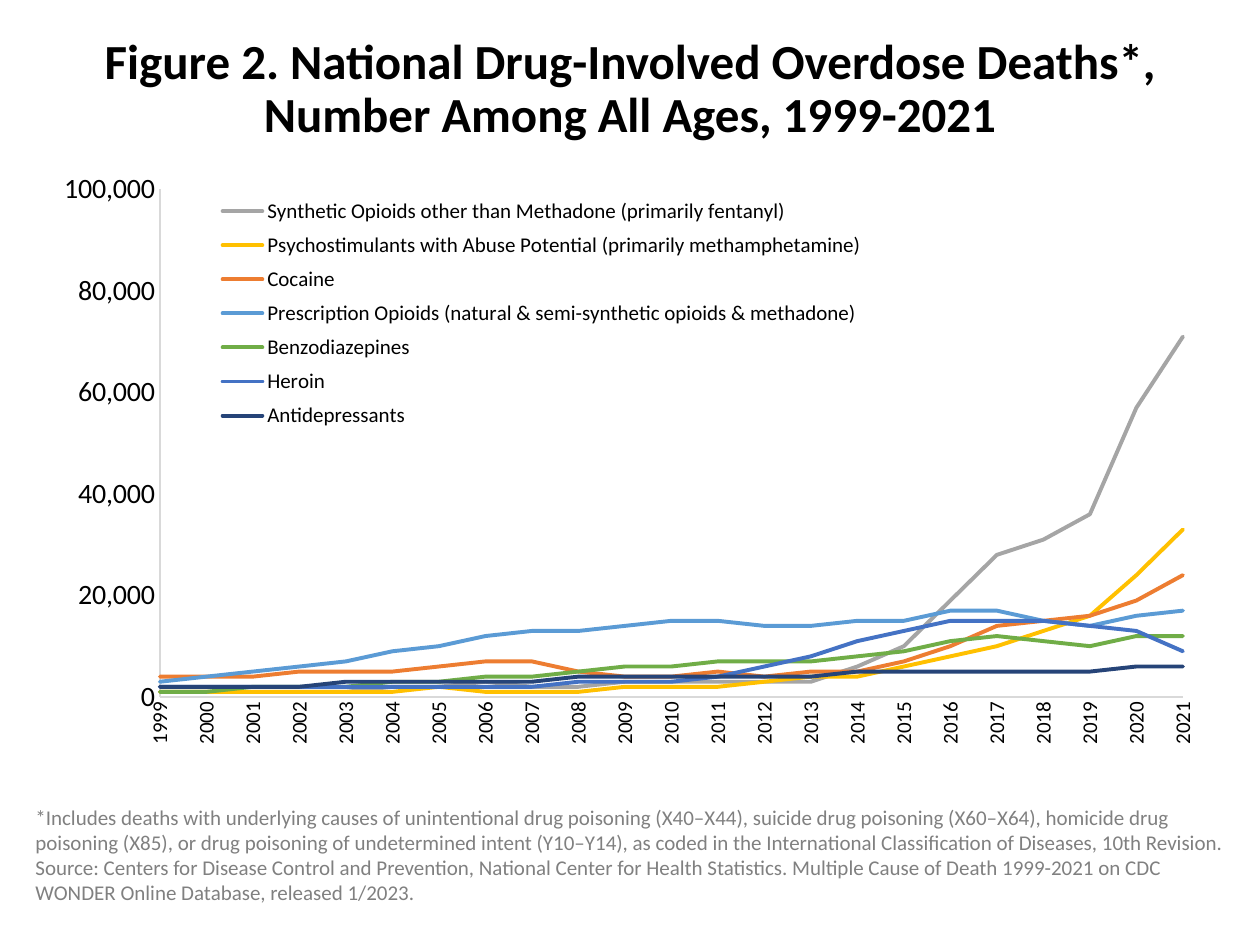
"""Build the slide on national drug-involved overdose deaths, 1999-2021."""
from dataclasses import dataclass

from lxml import etree
from pptx import Presentation
from pptx import util as u
from pptx.chart.data import CategoryChartData
from pptx.dml.color import RGBColor
from pptx.enum import chart as ch
from pptx.enum import text
from pptx.oxml.ns import qn

PX = 914400 / 126
FONT = "Calibri"
BLACK = RGBColor(0x00, 0x00, 0x00)
GREY = RGBColor(0x80, 0x80, 0x80)
AXIS = RGBColor(0xD9, 0xD9, 0xD9)
SILVER = RGBColor(0xA5, 0xA5, 0xA5)
GOLD = RGBColor(0xFF, 0xC0, 0x00)
ORANGE = RGBColor(0xED, 0x7D, 0x31)
SKY = RGBColor(0x5B, 0x9B, 0xD5)
GREEN = RGBColor(0x70, 0xAD, 0x47)
BLUE = RGBColor(0x44, 0x72, 0xC4)
NAVY = RGBColor(0x26, 0x44, 0x78)

TITLE = "Figure 2. National Drug-Involved Overdose Deaths*, Number Among All Ages, 1999-2021"
NOTES = [
    "*Includes deaths with underlying causes of unintentional drug poisoning (X40–X44), "
    "suicide drug poisoning (X60–X64), homicide drug poisoning (X85), or drug poisoning of "
    "undetermined intent (Y10–Y14), as coded in the International Classification of Diseases, "
    "10th Revision.",
    "Source: Centers for Disease Control and Prevention, National Center for Health Statistics. "
    "Multiple Cause of Death 1999-2021 on CDC WONDER Online Database, released 1/2023.",
]


@dataclass(frozen=True)
class Drug:
    """One line of the chart, with yearly deaths in thousands."""
    name: str
    color: RGBColor
    thousands: tuple[int, ...]


DRUGS = [
    Drug("Synthetic Opioids other than Methadone (primarily fentanyl)", SILVER,
         (1, 1, 1, 1, 1, 2, 2, 3, 2, 2, 3, 3, 3, 3, 3, 6, 10, 19, 28, 31, 36, 57, 71)),
    Drug("Psychostimulants with Abuse Potential (primarily methamphetamine)", GOLD,
         (1, 1, 1, 1, 1, 1, 2, 1, 1, 1, 2, 2, 2, 3, 4, 4, 6, 8, 10, 13, 16, 24, 33)),
    Drug("Cocaine", ORANGE,
         (4, 4, 4, 5, 5, 5, 6, 7, 7, 5, 4, 4, 5, 4, 5, 5, 7, 10, 14, 15, 16, 19, 24)),
    Drug("Prescription Opioids (natural & semi-synthetic opioids & methadone)", SKY,
         (3, 4, 5, 6, 7, 9, 10, 12, 13, 13, 14, 15, 15, 14, 14, 15, 15, 17, 17, 15, 14, 16, 17)),
    Drug("Benzodiazepines", GREEN,
         (1, 1, 2, 2, 2, 3, 3, 4, 4, 5, 6, 6, 7, 7, 7, 8, 9, 11, 12, 11, 10, 12, 12)),
    Drug("Heroin", BLUE,
         (2, 2, 2, 2, 2, 2, 2, 2, 2, 3, 3, 3, 4, 6, 8, 11, 13, 15, 15, 15, 14, 13, 9)),
    Drug("Antidepressants", NAVY,
         (2, 2, 2, 2, 3, 3, 3, 3, 3, 4, 4, 4, 4, 4, 4, 5, 5, 5, 5, 5, 5, 6, 6)),
]


def px(*lengths: int) -> list[int]:
    """Turn pixels into EMU."""
    return [round(n * PX) for n in lengths]


def style(font, size: int, color: RGBColor, bold: bool = False) -> None:
    """Format a font."""
    font.name, font.size, font.bold = FONT, u.Pt(size), bold
    font.color.rgb = color


def make_layout(target: str | None, x: float, y: float, w: float, h: float):
    """Return a manual chart layout in fractions of the chart."""
    layout = etree.Element(qn("c:layout"))
    manual = etree.SubElement(layout, qn("c:manualLayout"))
    values = {"layoutTarget": target, "xMode": "edge", "yMode": "edge",
              "x": x, "y": y, "w": w, "h": h}
    for tag, value in values.items():
        if value is not None:
            etree.SubElement(manual, qn(f"c:{tag}")).set("val", str(value))
    return layout


def add_title(slide) -> None:
    """Fill and place the title."""
    sp = slide.shapes.title
    sp.left, sp.top, sp.width, sp.height = px(35, -1, 1190, 183)
    tf = sp.text_frame
    tf.text = TITLE
    tf.auto_size = text.MSO_AUTO_SIZE.NONE
    tf.vertical_anchor = text.MSO_ANCHOR.MIDDLE
    p = tf.paragraphs[0]
    p.alignment, p.line_spacing = text.PP_ALIGN.CENTER, 0.9
    style(p.runs[0].font, 28, BLACK, True)


def format_axis(axis, size: int) -> None:
    """Give an axis its line and labels, without ticks or gridlines."""
    axis.has_major_gridlines = False
    axis.major_tick_mark = axis.minor_tick_mark = ch.XL_TICK_MARK.NONE
    axis.format.line.color.rgb = AXIS
    axis.format.line.width = u.Pt(0.75)
    style(axis.tick_labels.font, size, BLACK)


def add_deaths_chart(slide) -> None:
    """Add the line chart of deaths by drug."""
    data = CategoryChartData(number_format="#,##0")
    data.categories = [str(year) for year in range(1999, 2022)]
    for drug in DRUGS:
        data.add_series(drug.name, [n * 1000 for n in drug.thousands])
    chart = slide.shapes.add_chart(
        ch.XL_CHART_TYPE.LINE, *px(54, 171, 1176, 619), data).chart
    chart.has_title = False
    style(chart.font, 16, BLACK)

    for series, drug in zip(chart.plots[0].series, DRUGS):
        series.smooth = False
        series.marker.style = ch.XL_MARKER_STYLE.NONE
        line = series.format.line
        line.color.rgb, line.width = drug.color, u.Pt(2.25)
        series._element.find(".//" + qn("a:ln")).set("cap", "rnd")

    years, deaths = chart.category_axis, chart.value_axis
    format_axis(years, 12)
    format_axis(deaths, 16)
    years._element.find(qn("c:txPr")).find(qn("a:bodyPr")).set("rot", "-5400000")
    deaths.minimum_scale, deaths.maximum_scale, deaths.major_unit = 0, 100000, 20000
    deaths.tick_labels.number_format = "#,##0"
    deaths.tick_labels.number_format_is_linked = False
    between = etree.Element(qn("c:crossBetween"), val="midCat")
    deaths._element.find(qn("c:majorUnit")).addprevious(between)

    chart.has_legend = True
    legend = chart.legend
    legend.position = ch.XL_LEGEND_POSITION.RIGHT
    legend.include_in_layout = False
    style(legend.font, 12, BLACK)
    plot_area = chart._chartSpace.find(".//" + qn("c:plotArea"))
    for owner in (plot_area, legend._element):
        for old in owner.findall(qn("c:layout")):
            owner.remove(old)
    plot_area.insert(0, make_layout("inner", 0.09, 0.03, 0.87, 0.82))
    legend._element.insert(1, make_layout(None, 0.13, 0.03, 0.57, 0.4))


def add_notes(slide) -> None:
    """Add the footnote and the source."""
    tf = slide.shapes.add_textbox(*px(23, 798, 1217, 115)).text_frame
    tf.word_wrap = True
    tf.auto_size = text.MSO_AUTO_SIZE.SHAPE_TO_FIT_TEXT
    tf.text = "\n".join(NOTES)
    for p in tf.paragraphs:
        style(p.runs[0].font, 12, GREY)


def main() -> None:
    """Build and save the deck."""
    prs = Presentation()
    prs.slide_width, prs.slide_height = px(1260, 945)
    slide = prs.slides.add_slide(prs.slide_layouts[5])
    add_title(slide)
    add_deaths_chart(slide)
    add_notes(slide)
    prs.save("out.pptx")


if __name__ == "__main__":
    main()
